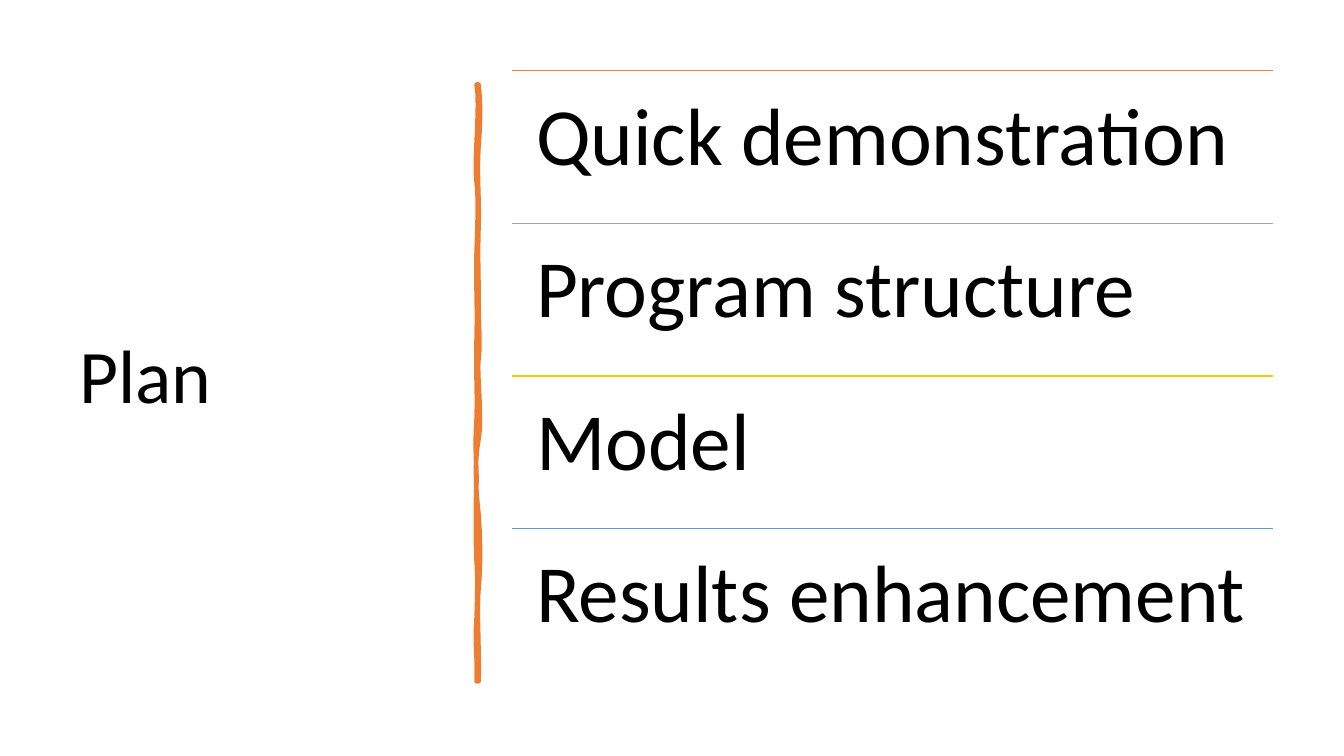
import pptx
import pptx.dml.color
import pptx.enum.shapes
import pptx.enum.text
import pptx.util
from lxml import etree
from pptx.oxml.ns import qn
from pptx.util import Cm

FONT = "Calibri"
ORANGE = "ED7D31"
TOPICS = [
    ("Quick demonstration", ORANGE),
    ("Program structure", "A5A5A5"),
    ("Model", "FFC000"),
    ("Results enhancement", "5B9BD5"),
]

# Curves of the brush stroke: two control points and an end point,
# in hundredths of an inch from its top left corner
RIGHT_EDGE = [
    ((4, 18), (4, 35), (2, 62)),
    ((0, 89), (3, 111), (2, 142)),
    ((1, 173), (2, 178), (2, 210)),
    ((2, 241), (4, 258), (2, 272)),
    ((0, 286), (6, 330), (2, 352)),
    ((-2, 373), (-1, 400), (2, 426)),
    ((4, 452), (4, 480), (2, 500)),
    ((0, 519), (3, 566), (2, 592)),
]
LEFT_EDGE = [
    ((1, 562), (-2, 560), (0, 529)),
    ((1, 499), (1, 486), (0, 473)),
    ((-1, 460), (-1, 411), (0, 393)),
    ((0, 375), (-2, 361), (0, 331)),
    ((1, 302), (-1, 289), (0, 251)),
    ((1, 214), (-1, 197), (0, 166)),
    ((1, 134), (2, 116), (0, 97)),
    ((-3, 79), (4, 20), (0, 0)),
]


def color(value):
    return pptx.dml.color.RGBColor.from_string(value)


def add_text(s, text, box, size, anchor, inset_x, inset_y):
    tf = s.shapes.add_textbox(*box).text_frame
    tf.word_wrap = True
    tf.vertical_anchor = anchor
    tf.margin_left = tf.margin_right = inset_x
    tf.margin_top = tf.margin_bottom = inset_y
    p = tf.paragraphs[0]
    p.text = text
    p.line_spacing = 0.9
    p.font.name = FONT
    p.font.size = pptx.util.Pt(size)
    p.font.color.rgb = color("000000")


def trace(start, curves, steps=8):
    """Return points along a chain of cubic curves."""
    points = [start]
    for c1, c2, end in curves:
        for i in range(1, steps + 1):
            t = i / steps
            u = 1 - t
            points.append(tuple(
                u**3 * a + 3 * u * u * t * b + 3 * u * t * t * c + t**3 * d
                for a, b, c, d in zip(start, c1, c2, end)
            ))
        start = end
    return points


def add_brush_stroke(s, left, top, height):
    unit = height / 592
    outline = [
        (left + x * unit, top + y * unit)
        for x, y in trace((2, 0), RIGHT_EDGE) + trace((0, 592), LEFT_EDGE)
    ]
    builder = s.shapes.build_freeform(*outline[0])
    builder.add_line_segments(outline[1:], close=True)
    sp = builder.convert_to_shape()
    sp.shadow.inherit = False
    sp.fill.solid()
    sp.fill.fore_color.rgb = color(ORANGE)
    sp.line.color.rgb = color(ORANGE)
    sp.line.width = pptx.util.Pt(3.25)
    etree.SubElement(sp.line.fill._xPr, qn("a:round"))


def add_topics(s, left, top, width, height):
    row = height / len(TOPICS)
    for i, (topic, rule_color) in enumerate(TOPICS):
        y = round(top + i * row)
        # Rule above the topic
        rule = s.shapes.add_connector(
            pptx.enum.shapes.MSO_CONNECTOR.STRAIGHT, left, y, left + width, y)
        rule.line.color.rgb = color(rule_color)
        rule.line.width = pptx.util.Pt(1)
        etree.SubElement(rule._element.spPr, qn("a:effectLst"))
        # Topic
        add_text(s, topic, (left, y, width, round(row)), 58,
                 pptx.enum.text.MSO_ANCHOR.TOP, Cm(0.61), Cm(0.61))


def add_plan_slide(prs):
    s = prs.slides.add_slide(prs.slide_layouts[6])
    add_text(s, "Plan", (Cm(1.75), Cm(1.78), Cm(9.5), Cm(15.52)), 54,
             pptx.enum.text.MSO_ANCHOR.MIDDLE, Cm(0.25), Cm(0.13))
    add_brush_stroke(s, Cm(12.01), Cm(2.13), Cm(15.04))
    add_topics(s, Cm(12.9), Cm(1.78), Cm(19.18), Cm(15.38))


def main():
    prs = pptx.Presentation()
    prs.slide_width = Cm(33.87)
    prs.slide_height = Cm(19.05)
    add_plan_slide(prs)
    prs.save("out.pptx")


if __name__ == "__main__":
    main()
